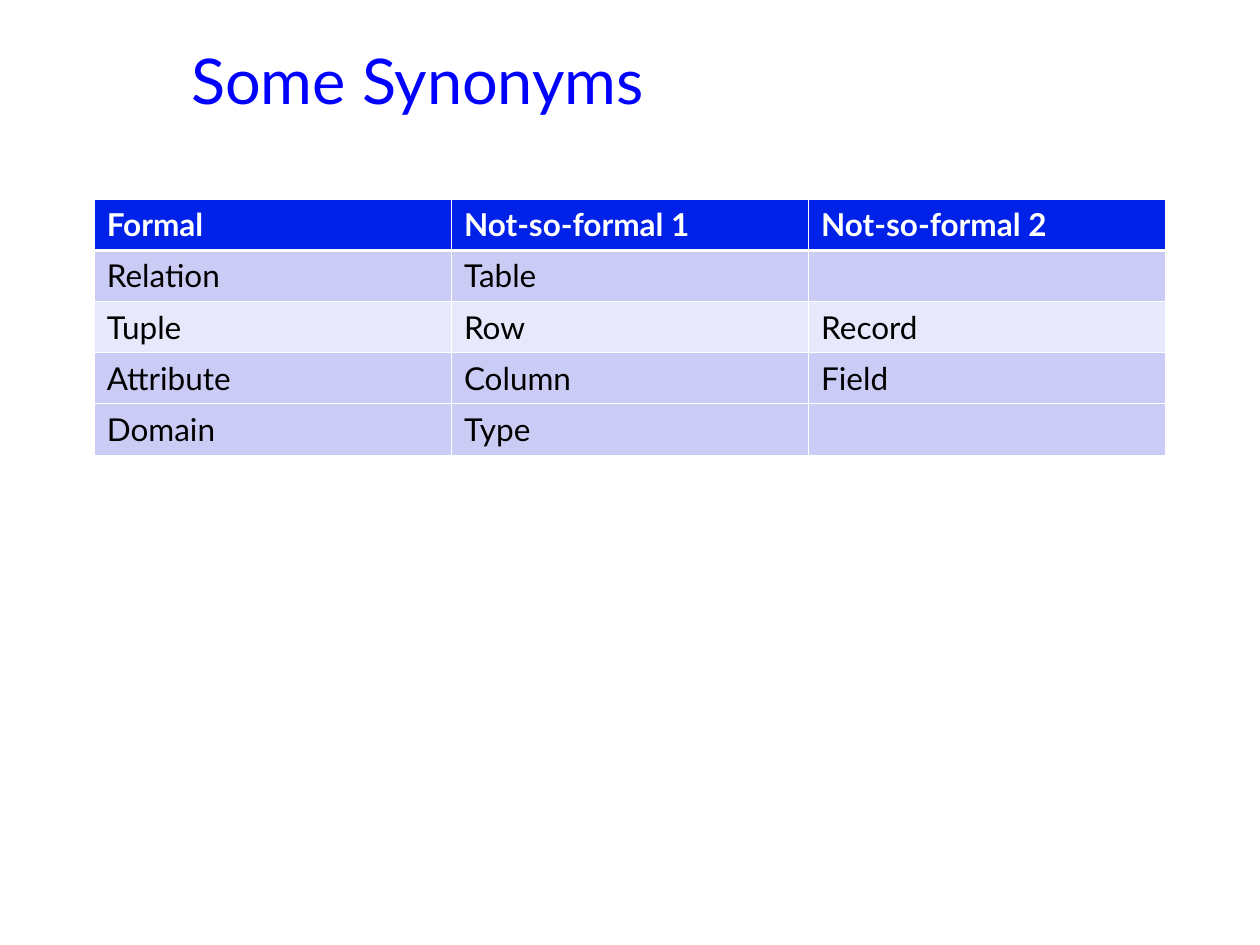
"""Build a slide that lists synonyms for relational database terms."""
from dataclasses import dataclass

from lxml import etree
from pptx import Presentation
from pptx.dml.color import RGBColor
from pptx.enum import text
from pptx.oxml import ns
from pptx.util import Cm, Pt


@dataclass(frozen=True)
class Theme:
    font: str = "Lato"
    title_size: float = 36
    table_size: float = 18
    title: str = "0000FF"
    header: str = "0021E8"
    dark_band: str = "CBCCF6"
    light_band: str = "E7E8FB"
    ink: str = "000000"
    white: str = "FFFFFF"
    thin: float = 0.45
    thick: float = 1.47


THEME = Theme()
SYNONYMS = [
    ("Formal", "Not-so-formal 1", "Not-so-formal 2"),
    ("Relation", "Table", ""),
    ("Tuple", "Row", "Record"),
    ("Attribute", "Column", "Field"),
    ("Domain", "Type", ""),
]
ROW_FILLS = [THEME.header, THEME.dark_band, THEME.light_band, THEME.dark_band, THEME.dark_band]


def style_paragraph(para, size, color, bold=False):
    para.alignment = text.PP_ALIGN.LEFT
    para.font.name = THEME.font
    para.font.size = Pt(size)
    para.font.bold = bold
    para.font.color.rgb = RGBColor.from_string(color)


def add_title(page, words):
    box = page.shapes.title
    box.left, box.top, box.width, box.height = Cm(3.6), Cm(0), Cm(19.9), Cm(3.18)
    frame = box.text_frame
    frame.text = words
    frame.vertical_anchor = text.MSO_ANCHOR.MIDDLE
    style_paragraph(frame.paragraphs[0], THEME.title_size, THEME.title)


def set_borders(cell, top, bottom):
    properties = cell._tc.get_or_add_tcPr()
    widths = {"lnL": THEME.thin, "lnR": THEME.thin, "lnT": top, "lnB": bottom}
    for position, (side, width) in enumerate(widths.items()):
        line = etree.Element(ns.qn(f"a:{side}"), w=str(int(Pt(width))))
        fill = etree.SubElement(line, ns.qn("a:solidFill"))
        etree.SubElement(fill, ns.qn("a:srgbClr"), val=THEME.white)
        properties.insert(position, line)


def fill_cell(cell, words, row):
    is_header = row == 0
    cell.text = words
    cell.fill.solid()
    cell.fill.fore_color.rgb = RGBColor.from_string(ROW_FILLS[row])
    color = THEME.white if is_header else THEME.ink
    style_paragraph(cell.text_frame.paragraphs[0], THEME.table_size, color, is_header)
    set_borders(
        cell,
        top=THEME.thick if row == 1 else THEME.thin,
        bottom=THEME.thick if is_header else THEME.thin,
    )


def add_table(page, rows):
    row_height, column_width = Cm(1.03), Cm(7.2)
    columns = len(rows[0])
    table = page.shapes.add_table(
        len(rows), columns, Cm(1.9), Cm(4.02), column_width * columns, row_height * len(rows)
    ).table
    for row, entries in enumerate(rows):
        table.rows[row].height = row_height
        for column, words in enumerate(entries):
            fill_cell(table.cell(row, column), words, row)


def main():
    deck = Presentation()
    deck.slide_width, deck.slide_height = Cm(25.4), Cm(19.05)
    page = deck.slides.add_slide(deck.slide_layouts.get_by_name("Title Only"))
    add_title(page, "Some Synonyms")
    add_table(page, SYNONYMS)
    deck.save("out.pptx")


if __name__ == "__main__":
    main()
